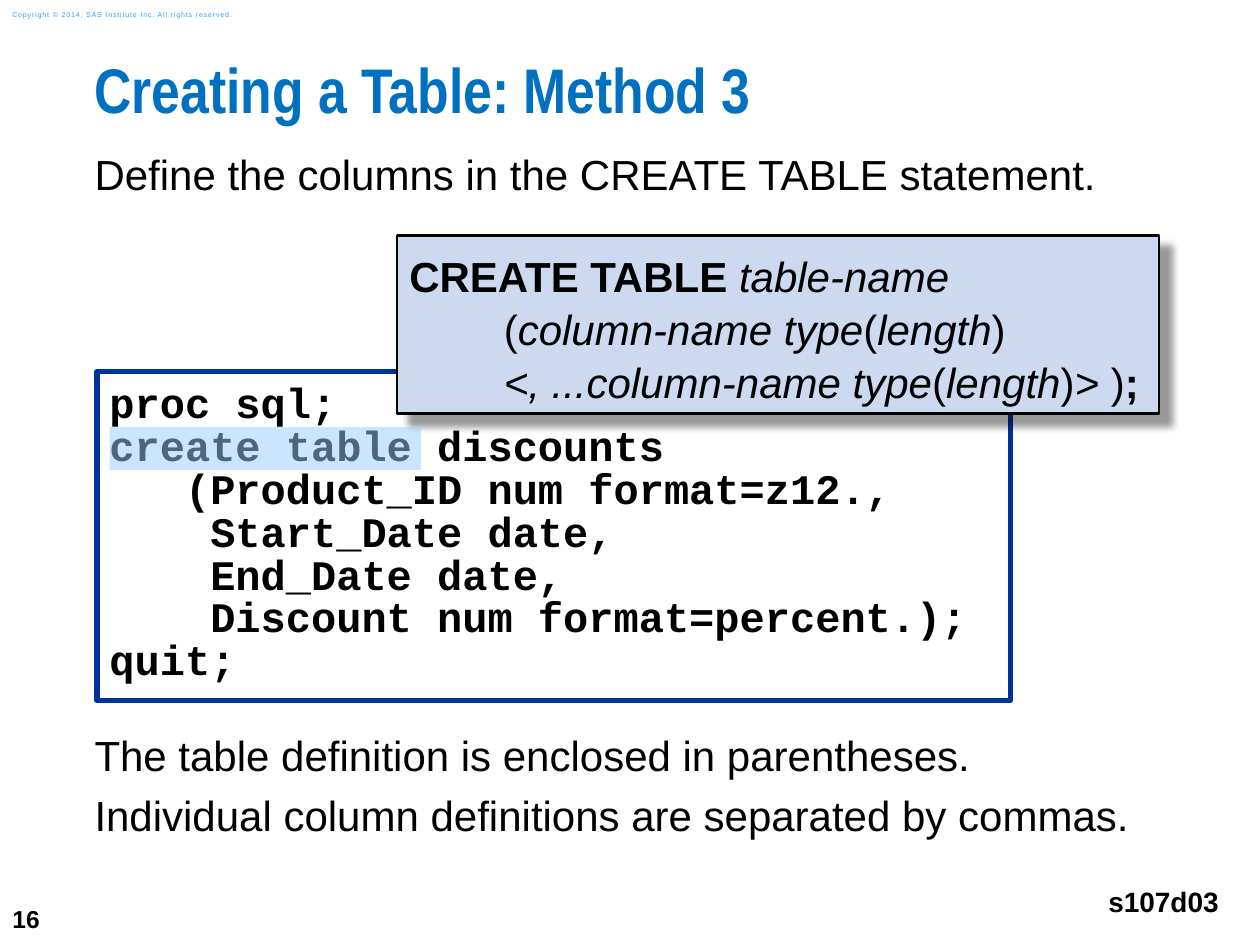
from lxml import etree
from pptx import Presentation
from pptx.dml.color import RGBColor
from pptx.enum.shapes import MSO_SHAPE
from pptx.enum.text import MSO_ANCHOR, MSO_AUTO_SIZE, PP_ALIGN
from pptx.oxml import parse_xml
from pptx.oxml.ns import nsdecls, qn
from pptx.util import Inches, Pt

COLORS = {
    "title": "0070C0",
    "text": "000000",
    "copyright": "2A9CFF",
    "paper": "FFFFFF",
    "code_border": "003399",
    "syntax_fill": "CDD9EF",
    "highlight": "99CCFF",
}


def style(font, size, color="text", name="Arial", bold=False):
    font.size = Pt(size)
    font.name = name
    font.bold = bold
    font.color.rgb = RGBColor.from_string(COLORS[color])


def add_box(left, top, width, height, inset=0.1, fill=None, line=None, line_width=1):
    """Add a rectangle with left-aligned text that does not wrap."""
    box = slide.shapes.add_shape(MSO_SHAPE.RECTANGLE, Inches(left), Inches(top),
                                 Inches(width), Inches(height))
    box.shadow.inherit = False
    if fill:
        box.fill.solid()
        box.fill.fore_color.rgb = RGBColor.from_string(COLORS[fill])
    else:
        box.fill.background()
    if line:
        box.line.color.rgb = RGBColor.from_string(COLORS[line])
        box.line.width = Pt(line_width)
    else:
        box.line.fill.background()
    frame = box.text_frame
    frame.word_wrap = False
    frame.vertical_anchor = MSO_ANCHOR.TOP
    frame.margin_left = frame.margin_right = Inches(0.1)
    frame.margin_top = frame.margin_bottom = Inches(inset)
    frame.paragraphs[0].alignment = PP_ALIGN.LEFT
    return box


deck = Presentation()
deck.slide_width, deck.slide_height = Inches(10), Inches(7.5)
slide = deck.slides.add_slide(deck.slide_layouts[1])

# Title and body placeholders
title, body = slide.shapes.title, slide.placeholders[1]
for holder, top, width, height in ((title, 0.5, 9.25, 0.74), (body, 1.18, 8.58, 5.6)):
    holder.left, holder.top = Inches(0.75), Inches(top)
    holder.width, holder.height = Inches(width), Inches(height)
    frame = holder.text_frame
    frame.margin_left = frame.margin_right = frame.margin_top = frame.margin_bottom = 0
    frame.vertical_anchor = MSO_ANCHOR.TOP
    frame.auto_size = MSO_AUTO_SIZE.NONE
    frame.word_wrap = True

title.text_frame.text = "Creating a Table: Method 3"
para = title.text_frame.paragraphs[0]
para.alignment = PP_ALIGN.LEFT
para.line_spacing = 0.83
style(para.font, 36, "title", "Arial Narrow", True)

# Body: the wide gap leaves room for the code
statements = [
    ("Define the columns in the CREATE TABLE statement.", 0),
    ("The table definition is enclosed in parentheses.", 303),
    ("Individual column definitions are separated by commas.", 5.5),
]
body.text_frame.text = "\n".join(text for text, gap in statements)
for para, (text, gap) in zip(body.text_frame.paragraphs, statements):
    properties = para._p.get_or_add_pPr()
    properties.set("marL", "0")
    properties.set("indent", "0")
    etree.SubElement(properties, qn("a:buNone"))
    para.space_before, para.space_after = Pt(gap), Pt(0)
    style(para.font, 24)

# Slide number, copyright line and program name
labels = [
    ("16", (0, 7.08, 0.58, 0.42), 0.05, 14, "text", True, PP_ALIGN.LEFT),
    ("Copyright © 2014, SAS Institute Inc. All rights reserved.",
     (0, 0.03, 2.11, 0.17), 0.05, 4, "copyright", False, PP_ALIGN.LEFT),
    ("s107d03", (8.69, 6.92, 1.08, 0.47), 0.1, 16, "text", True, PP_ALIGN.RIGHT),
]
for text, place, inset, size, color, bold, alignment in labels:
    label = slide.shapes.add_textbox(*(Inches(value) for value in place))
    frame = label.text_frame
    frame.word_wrap = False
    frame.vertical_anchor = MSO_ANCHOR.MIDDLE
    frame.margin_top = frame.margin_bottom = Inches(inset)
    frame.text = text
    para = frame.paragraphs[0]
    para.alignment = alignment
    style(para.font, size, color, bold=bold)
    if color == "copyright":
        para.runs[0].font._element.set("spc", "50")

# Code
code_box = add_box(0.77, 2.95, 7.25, 2.61, fill="paper", line="code_border", line_width=3)
code_box.text_frame.text = """proc sql;
create table discounts
   (Product_ID num format=z12.,
    Start_Date date,
    End_Date date,
    Discount num format=percent.);
quit;"""
for para in code_box.text_frame.paragraphs:
    para.alignment = PP_ALIGN.LEFT
    para.line_spacing = 0.85
    style(para.font, 24, name="Courier New", bold=True)

# Syntax box with a shadow
syntax_box = add_box(3.15, 1.87, 6.05, 1.41, fill="syntax_fill", line="text", line_width=1.5)
effects = syntax_box._element.spPr.find(qn("a:effectLst"))
effects.append(parse_xml(
    f'<a:outerShdw {nsdecls("a")} blurRad="50800" dist="107950" dir="2700000" algn="tl" '
    'rotWithShape="0"><a:srgbClr val="000000"><a:alpha val="40000"/></a:srgbClr></a:outerShdw>'))
para = syntax_box.text_frame.paragraphs[0]
para.line_spacing = 1.05
tabs = etree.SubElement(para._p.get_or_add_pPr(), qn("a:tabLst"))
etree.SubElement(tabs, qn("a:tab"), pos=str(Inches(0.75)), algn="l")
style(para.font, 24)
syntax_lines = [
    [("CREATE TABLE ", "bold"), ("table-name", "italic")],
    [("\t(", ""), ("column-name type", "italic"), ("(", ""), ("length", "italic"), (")", "")],
    [("\t<, ...column-name type", "italic"), ("(", ""), ("length", "italic"), (")", ""),
     ("> ", "italic"), (")", ""), (";", "bold")],
]
for number, line in enumerate(syntax_lines):
    if number:
        para.add_line_break()
    for text, look in line:
        span = para.add_run()
        span.text = text
        style(span.font, 24, bold=look == "bold")
        span.font.italic = look == "italic"

# Half-transparent highlight over the keywords
highlight = add_box(0.87, 3.39, 2.47, 0.34, fill="highlight")
color = highlight._element.spPr.find(qn("a:solidFill")).find(qn("a:srgbClr"))
etree.SubElement(color, qn("a:alpha"), val="50000")

deck.save("out.pptx")
